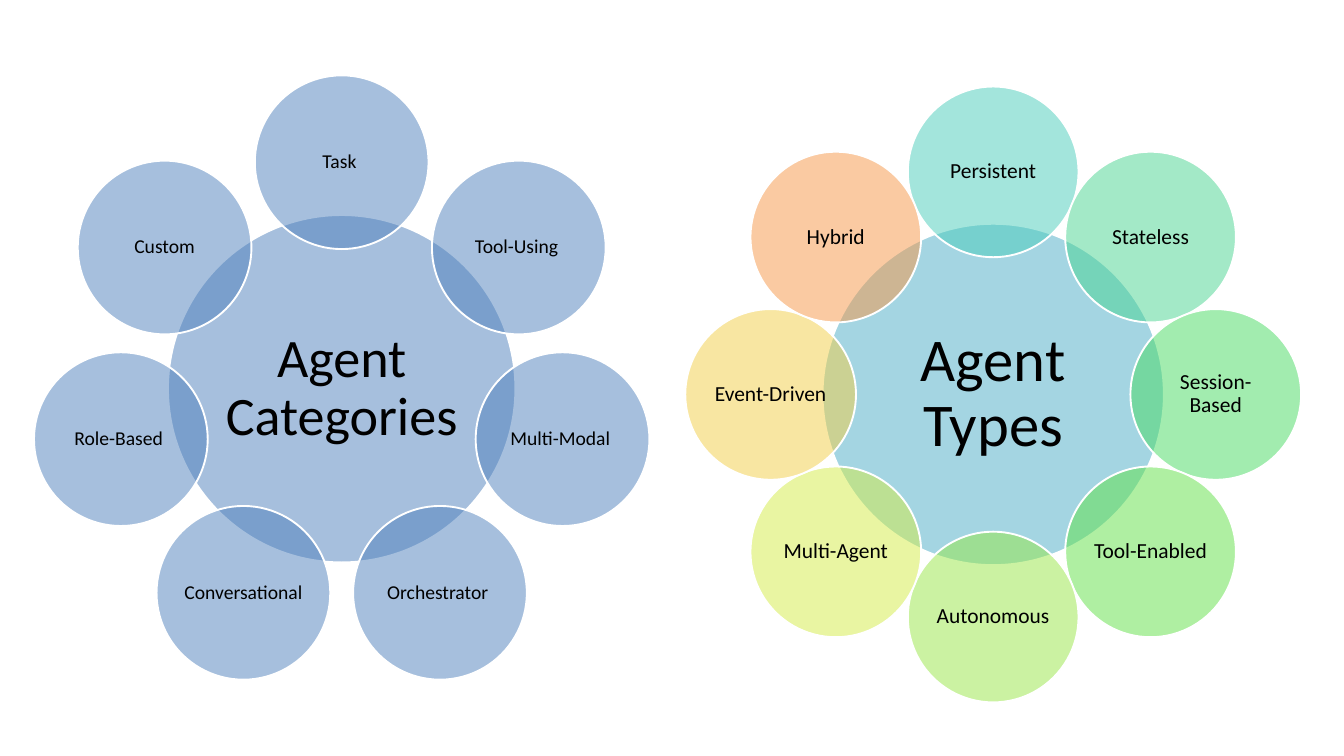
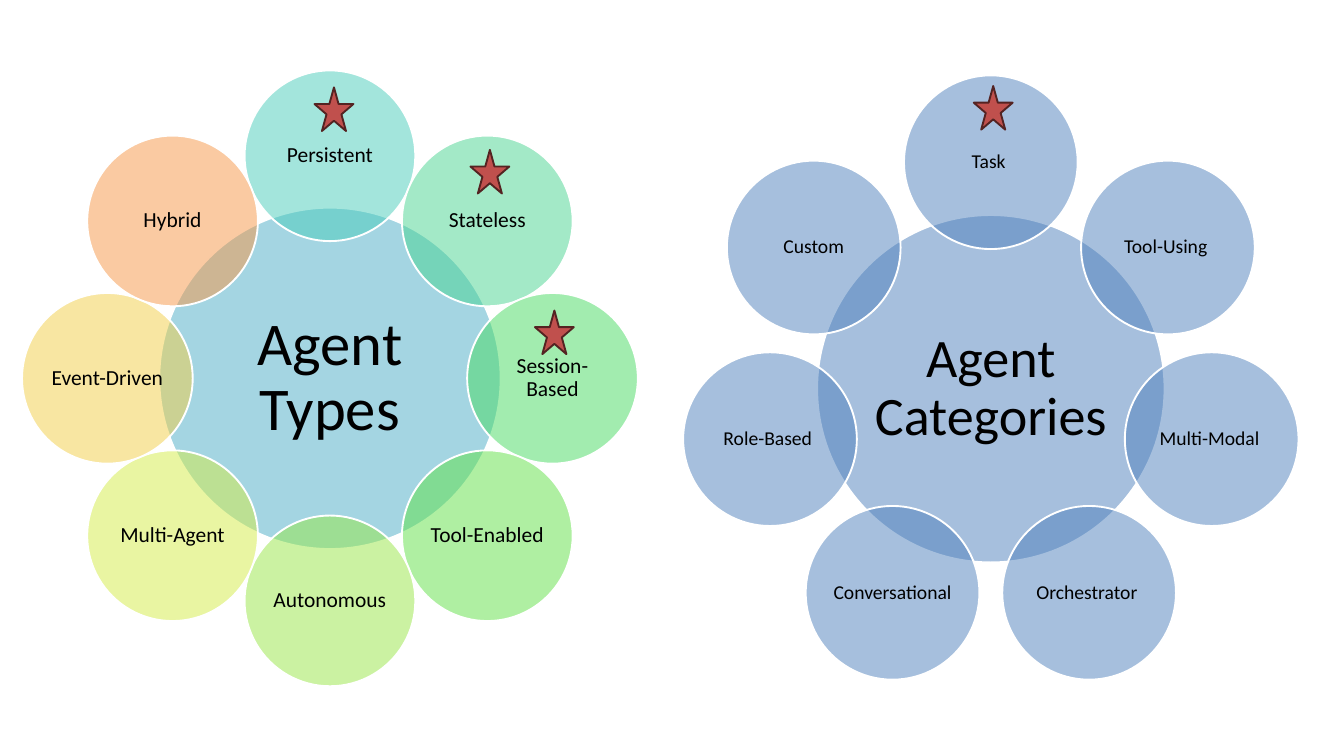
from dataclasses import dataclass
from math import cos, sin, tau

from lxml.etree import SubElement
from pptx import Presentation
from pptx.dml.color import RGBColor
from pptx.enum.shapes import MSO_SHAPE
from pptx.enum.text import MSO_ANCHOR, PP_ALIGN
from pptx.oxml.ns import qn
from pptx.shapes.autoshape import Shape
from pptx.shapes.shapetree import GroupShapes
from pptx.slide import Slide
from pptx.util import Emu, Pt

EMU_PER_PX = 9144  # 100 px to the inch
FONT = "Calibri"
BLACK, WHITE = "000000", "FFFFFF"
BLUE, TEAL = "4F81BD", "4BACC6"
STAR_FILL, STAR_LINE = "C0504D", "542322"
LINE_POINTS = 2
CIRCLE_OPACITY = 50
ORBIT_RATIO = 0.652  # distance of petal centres, per hub diameter
STAR_WIDTH, STAR_HEIGHT = 58, 65


@dataclass(frozen=True)
class Petal:
    label: str
    colour: str


@dataclass(frozen=True)
class Flower:
    """A hub circle ringed by petals, clockwise from the top."""
    title: str
    colour: str
    diameter: int
    title_points: int
    label_points: int
    petals: tuple[Petal, ...]


@dataclass(frozen=True)
class Placement:
    flower: Flower
    hub_left: int
    hub_top: int


@dataclass(frozen=True)
class Star:
    left: int
    top: int


@dataclass(frozen=True)
class Page:
    placements: tuple[Placement, ...]
    stars: tuple[Star, ...] = ()


CATEGORIES = Flower(
    "Agent Categories", BLUE, 517, 58, 21,
    tuple(Petal(label, BLUE) for label in (
        "Task ", "Tool-Using ", "Multi-Modal ", "Orchestrator ",
        "Conversational ", "Role-Based ", "Custom",
    )),
)
TYPES = Flower(
    "Agent Types", TEAL, 508, 65, 23,
    (
        Petal("Persistent", "49CDBB"),
        Petal("Stateless", "48D491"),
        Petal("Session-Based", "47DA61"),
        Petal("Tool-Enabled", "60E146"),
        Petal("Autonomous", "98E746"),
        Petal("Multi-Agent", "D5EC46"),
        Petal("Event-Driven", "F2CF46"),
        Petal("Hybrid", "F79646"),
    ),
)
PAGES = (
    Page((Placement(CATEGORIES, 250, 320), Placement(TYPES, 1224, 333))),
    Page(
        (Placement(CATEGORIES, 1216, 320), Placement(TYPES, 237, 309)),
        (Star(1449, 128), Star(700, 223), Star(796, 462), Star(468, 130)),
    ),
)


def px(length: float) -> Emu:
    return Emu(round(length * EMU_PER_PX))


def rgb(colour: str) -> RGBColor:
    return RGBColor.from_string(colour)


def style_shape(shape: Shape, fill: str, line: str) -> None:
    shape.shadow.inherit = False
    shape.fill.solid()
    shape.fill.fore_color.rgb = rgb(fill)
    shape.line.color.rgb = rgb(line)
    shape.line.width = Pt(LINE_POINTS)


def set_opacity(shape: Shape, percent: int) -> None:
    colour = shape.fill._xPr.find(qn("a:solidFill")).find(qn("a:srgbClr"))
    SubElement(colour, qn("a:alpha")).set("val", str(percent * 1000))


def add_circle(shapes: GroupShapes, centre_x: float, centre_y: float,
               diameter: float, colour: str, text: str, points: int) -> None:
    circle = shapes.add_shape(
        MSO_SHAPE.OVAL, px(centre_x - diameter / 2), px(centre_y - diameter / 2),
        px(diameter), px(diameter))
    style_shape(circle, colour, WHITE)
    set_opacity(circle, CIRCLE_OPACITY)

    frame = circle.text_frame
    frame.word_wrap = True
    frame.vertical_anchor = MSO_ANCHOR.MIDDLE
    inset = Pt(points / 10)
    frame.margin_left = frame.margin_right = inset
    frame.margin_top = frame.margin_bottom = inset
    para = frame.paragraphs[0]
    para.text = text
    para.alignment = PP_ALIGN.CENTER
    para.line_spacing = 0.9
    para.font.name = FONT
    para.font.size = Pt(points)
    para.font.color.rgb = rgb(BLACK)


def add_flower(slide: Slide, placement: Placement) -> None:
    flower = placement.flower
    shapes = slide.shapes.add_group_shape().shapes
    centre_x = placement.hub_left + flower.diameter / 2
    centre_y = placement.hub_top + flower.diameter / 2
    add_circle(shapes, centre_x, centre_y, flower.diameter,
               flower.colour, flower.title, flower.title_points)

    orbit = flower.diameter * ORBIT_RATIO
    for index, petal in enumerate(flower.petals):
        angle = tau * index / len(flower.petals)
        add_circle(shapes, centre_x + orbit * sin(angle),
                   centre_y - orbit * cos(angle), flower.diameter / 2,
                   petal.colour, petal.label, flower.label_points)


def add_star(slide: Slide, star: Star) -> None:
    shape = slide.shapes.add_shape(
        MSO_SHAPE.STAR_5_POINT, px(star.left), px(star.top),
        px(STAR_WIDTH), px(STAR_HEIGHT))
    style_shape(shape, STAR_FILL, STAR_LINE)


def main() -> None:
    deck = Presentation()
    deck.slide_width, deck.slide_height = px(2000), px(1125)
    blank = deck.slide_layouts[6]
    for page in PAGES:
        slide = deck.slides.add_slide(blank)
        for placement in page.placements:
            add_flower(slide, placement)
        for star in page.stars:
            add_star(slide, star)
    deck.save("out.pptx")


if __name__ == "__main__":
    main()
